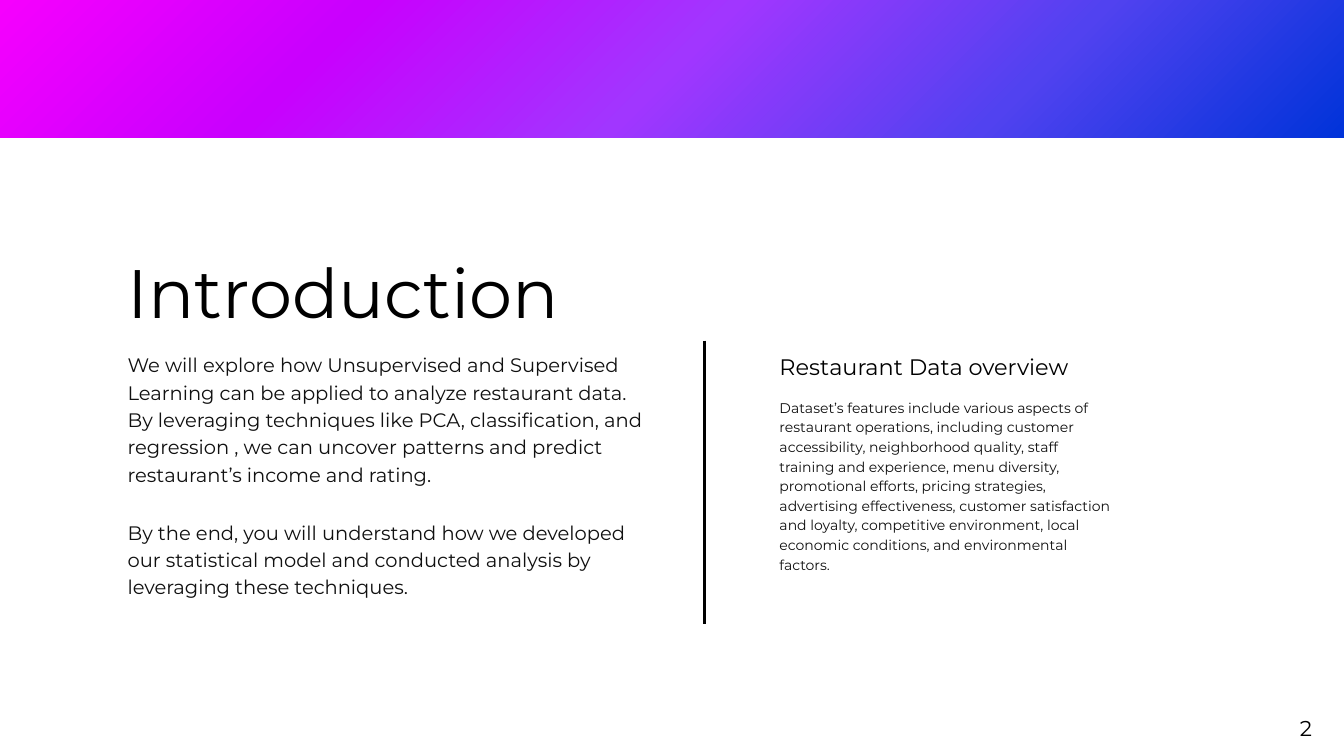
import pptx
import pptx.dml.color
import pptx.enum.shapes
import pptx.enum.text
import pptx.oxml
import pptx.oxml.ns
import pptx.util
from pptx.util import Inches

FONT = "Montserrat"
BLACK = "000000"
BODY = "101010"
BANNER_STOPS = ["F600FE", "C900FE", "A136FF", "5142F0", "0033D9"]


def color(value):
    return pptx.dml.color.RGBColor.from_string(value)


def add_text(slide, text, left, top, width, height, size, spacing, text_color=BLACK,
             alignment=pptx.enum.text.PP_ALIGN.LEFT):
    box = slide.shapes.add_textbox(Inches(left), Inches(top), Inches(width), Inches(height))
    frame = box.text_frame
    frame.word_wrap = True
    frame.auto_size = pptx.enum.text.MSO_AUTO_SIZE.SHAPE_TO_FIT_TEXT
    frame.margin_left = frame.margin_top = frame.margin_right = frame.margin_bottom = 0
    paragraph = frame.paragraphs[0]
    paragraph.text = text
    paragraph.alignment = alignment
    paragraph.line_spacing = pptx.util.Pt(spacing)
    paragraph.font.name = FONT
    paragraph.font.size = pptx.util.Pt(size)
    paragraph.font.color.rgb = color(text_color)


def add_banner(slide, width, height, stops):
    """Add a top band with evenly spaced gradient stops spreading from its corner."""
    banner = slide.shapes.add_shape(
        pptx.enum.shapes.MSO_SHAPE.RECTANGLE, 0, 0, Inches(width), Inches(height))
    banner.shadow.inherit = False
    banner.line.fill.background()
    banner.fill.background()
    step = 100000 // (len(stops) - 1)
    stop_xml = "".join(
        f'<a:gs pos="{index * step}"><a:srgbClr val="{stop}"/></a:gs>'
        for index, stop in enumerate(stops))
    gradient = pptx.oxml.parse_xml(
        f'<a:gradFill {pptx.oxml.ns.nsdecls("a")}><a:gsLst>{stop_xml}</a:gsLst>'
        '<a:path path="circle"><a:fillToRect r="100000" b="100000"/></a:path></a:gradFill>')
    properties = banner.element.spPr
    properties.replace(properties.find(pptx.oxml.ns.qn("a:noFill")), gradient)


def add_divider(slide, x, top, bottom):
    divider = slide.shapes.add_connector(
        pptx.enum.shapes.MSO_CONNECTOR.STRAIGHT,
        Inches(x), Inches(top), Inches(x), Inches(bottom))
    divider.line.color.rgb = color(BLACK)
    divider.line.width = pptx.util.Pt(3)
    divider.element.spPr.append(
        pptx.oxml.parse_xml(f'<a:effectLst {pptx.oxml.ns.nsdecls("a")}/>'))


def main():
    presentation = pptx.Presentation()
    presentation.slide_width = Inches(20)
    presentation.slide_height = Inches(11.25)
    slide = presentation.slides.add_slide(presentation.slide_layouts[6])

    add_banner(slide, 20, 2.05, BANNER_STOPS)
    add_text(slide, "Introduction", 1.9, 3.52, 9.18, 1.36, 73.4, 102.8)
    add_text(
        slide,
        "We will explore how Unsupervised and Supervised Learning can be applied to analyze "
        "restaurant data. By leveraging techniques like PCA, classification, and regression , "
        "we can uncover patterns and predict restaurant’s income and rating.",
        1.9, 5.2, 7.87, 1.99, 20.9, 29.3, BODY)
    add_text(
        slide,
        "By the end, you will understand how we developed our statistical model and conducted "
        "analysis by leveraging these techniques.",
        1.9, 7.69, 7.87, 1.18, 20.9, 29.3, BODY)
    add_divider(slide, 10.48, 5.07, 9.28)
    add_text(slide, "Restaurant Data overview", 11.6, 5.19, 4.93, 0.43, 24, 33.6)
    add_text(
        slide,
        "Dataset’s features include various aspects of restaurant operations, including "
        "customer accessibility, neighborhood quality, staff training and experience, menu "
        "diversity, promotional efforts, pricing strategies, advertising effectiveness, "
        "customer satisfaction and loyalty, competitive environment, local economic "
        "conditions, and environmental factors.",
        11.6, 5.9, 4.93, 3.21, 15, 21, BODY)
    add_text(slide, "2 ", 0, 10.58, 19.61, 0.43, 23, 32.2,
             alignment=pptx.enum.text.PP_ALIGN.RIGHT)

    presentation.save("out.pptx")


if __name__ == "__main__":
    main()
